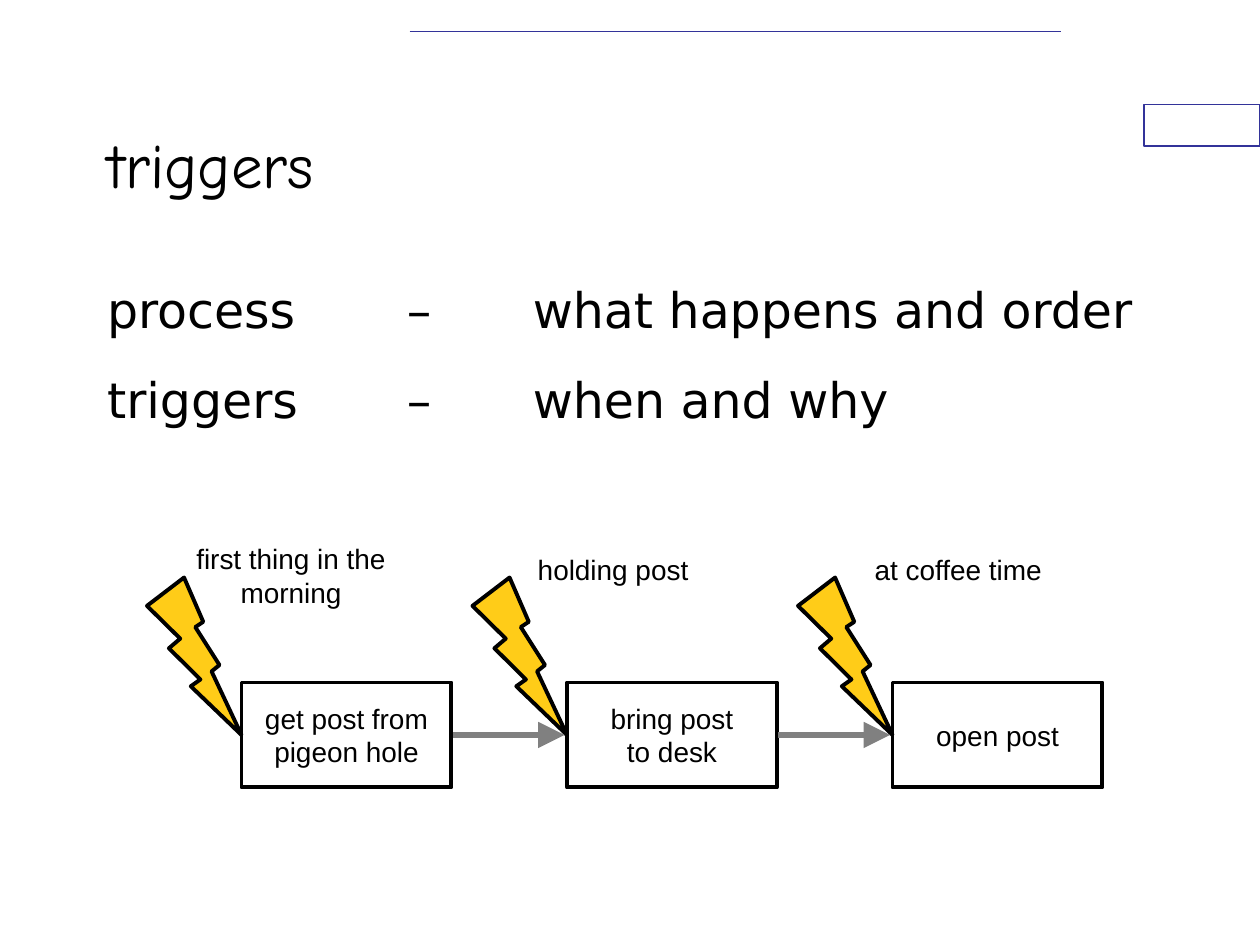
from dataclasses import dataclass

from lxml.etree import SubElement
from pptx import Presentation
from pptx.dml.color import RGBColor
from pptx.enum.shapes import MSO_CONNECTOR, MSO_SHAPE
from pptx.enum.text import MSO_ANCHOR, MSO_AUTO_SIZE, PP_ALIGN
from pptx.oxml.ns import qn
from pptx.util import Inches, Pt


@dataclass(frozen=True)
class Theme:
    ink: RGBColor = RGBColor(0x00, 0x00, 0x00)
    paper: RGBColor = RGBColor(0xFF, 0xFF, 0xFF)
    accent: RGBColor = RGBColor(0x33, 0x33, 0x99)
    bolt: RGBColor = RGBColor(0xFF, 0xCC, 0x18)
    arrow: RGBColor = RGBColor(0x80, 0x80, 0x80)
    title_font: str = "Comic Neue"
    body_font: str = "DejaVu Sans"
    label_font: str = "Arial"
    title_size: int = 36
    body_size: int = 28
    label_size: int = 16


class SlideBuilder:
    """Holds the theme and the current slide."""

    def __init__(self, slide, theme):
        self.slide = slide
        self.theme = theme

    def _style(self, paragraph, font, size, align):
        paragraph.alignment = align
        paragraph.font.name = font
        paragraph.font.size = Pt(size)
        paragraph.font.color.rgb = self.theme.ink

    def _place(self, shape, left, top, width, height):
        shape.left, shape.top = Inches(left), Inches(top)
        shape.width, shape.height = Inches(width), Inches(height)

    def _label_text(self, frame, text):
        frame.text = text
        frame.word_wrap = False
        for paragraph in frame.paragraphs:
            self._style(paragraph, self.theme.label_font,
                        self.theme.label_size, PP_ALIGN.CENTER)

    def title(self, text, *box):
        shape = self.slide.shapes.title
        self._place(shape, *box)
        frame = shape.text_frame
        frame.text = text
        frame.auto_size = MSO_AUTO_SIZE.NONE
        frame.vertical_anchor = MSO_ANCHOR.MIDDLE
        self._style(frame.paragraphs[0], self.theme.title_font,
                    self.theme.title_size, PP_ALIGN.LEFT)

    def body(self, lines, tab_stops, *box):
        shape = self.slide.placeholders[1]
        self._place(shape, *box)
        frame = shape.text_frame
        frame.text = "\n".join(lines)
        frame.auto_size = MSO_AUTO_SIZE.NONE
        frame.vertical_anchor = MSO_ANCHOR.TOP
        for paragraph in frame.paragraphs:
            # Hanging indent without a bullet, columns on tab stops
            properties = paragraph._p.get_or_add_pPr()
            properties.set("marL", str(Inches(0.38)))
            properties.set("indent", str(Inches(-0.38)))
            properties.set("defTabSz", str(Inches(1)))
            SubElement(properties, qn("a:buNone"))
            tabs = SubElement(properties, qn("a:tabLst"))
            for stop in tab_stops:
                SubElement(tabs, qn("a:tab"), pos=str(Inches(stop)), algn="l")
            self._style(paragraph, self.theme.body_font,
                        self.theme.body_size, PP_ALIGN.LEFT)
            paragraph.space_before = Pt(7)
        frame.paragraphs[0].space_after = Pt(10.5)

    def shape(self, kind, box, line, weight, fill=None, text=None):
        shape = self.slide.shapes.add_shape(kind, *map(Inches, box))
        shape.shadow.inherit = False
        shape.line.color.rgb = line
        shape.line.width = Pt(weight)
        if fill is None:
            shape.fill.background()
        else:
            shape.fill.solid()
            shape.fill.fore_color.rgb = fill
        if text:
            self._label_text(shape.text_frame, text)
            shape.text_frame.vertical_anchor = MSO_ANCHOR.MIDDLE

    def label(self, text, *box):
        frame = self.slide.shapes.add_textbox(*map(Inches, box)).text_frame
        self._label_text(frame, text)
        frame.auto_size = MSO_AUTO_SIZE.SHAPE_TO_FIT_TEXT

    def line(self, start, end, y, color, weight, arrow=False):
        connector = self.slide.shapes.add_connector(
            MSO_CONNECTOR.STRAIGHT, Inches(start), Inches(y), Inches(end), Inches(y))
        connector.line.color.rgb = color
        connector.line.width = Pt(weight)
        if arrow:
            SubElement(connector.line._get_or_add_ln(), qn("a:tailEnd"),
                       type="triangle", w="lg", len="lg")
        SubElement(connector._element.spPr, qn("a:effectLst"))


def main():
    presentation = Presentation()
    presentation.slide_width, presentation.slide_height = Inches(10), Inches(7.5)
    slide = presentation.slides.add_slide(presentation.slide_layouts[1])
    theme = Theme()
    builder = SlideBuilder(slide, theme)

    # Page decoration
    builder.shape(MSO_SHAPE.RECTANGLE, (9.08, 0.83, 0.92, 0.33),
                  theme.accent, 0.75, theme.paper)
    builder.line(3.25, 8.42, 0.25, theme.accent, 1)

    # Title and definitions
    builder.title("triggers", 0.75, 0.67, 7.5, 1.25)
    builder.body(["process\t–\twhat happens and order", "triggers\t–\twhen and why"],
                 (2.38, 3.38), 0.75, 2.17, 8.5, 4.5)

    # Process steps: box text, trigger text, place of the trigger text
    steps = [
        ("get post from\vpigeon hole", "first thing in the\nmorning", (1.46, 4.25, 1.7, 0.64)),
        ("bring post\vto desk", "holding post", (4.12, 4.34, 1.49, 0.37)),
        ("open post", "at coffee time", (6.82, 4.34, 1.57, 0.37)),
    ]
    # The flow sits on a grid of twelfths of an inch
    first_left, pitch = 23 / 12, 31 / 12
    box_top, box_width, box_height = 65 / 12, 20 / 12, 10 / 12
    bolt_width, bolt_height = 0.75, 1.25
    middle = box_top + box_height / 2
    lefts = [first_left + index * pitch for index in range(len(steps))]

    # Each bolt strikes the middle of its box's left side
    for left in lefts:
        builder.shape(MSO_SHAPE.LIGHTNING_BOLT,
                      (left - bolt_width, middle - bolt_height, bolt_width, bolt_height),
                      theme.ink, 2.25, theme.bolt)
    for _, trigger, box in steps:
        builder.label(trigger, *box)
    for left, (step, _, _) in zip(lefts, steps):
        builder.shape(MSO_SHAPE.RECTANGLE, (left, box_top, box_width, box_height),
                      theme.ink, 2.25, text=step)

    # Arrows between neighbouring boxes
    for left, following in zip(lefts, lefts[1:]):
        builder.line(left + box_width + 0.01, following - 0.02, middle,
                     theme.arrow, 3, arrow=True)

    presentation.save("out.pptx")


if __name__ == "__main__":
    main()
